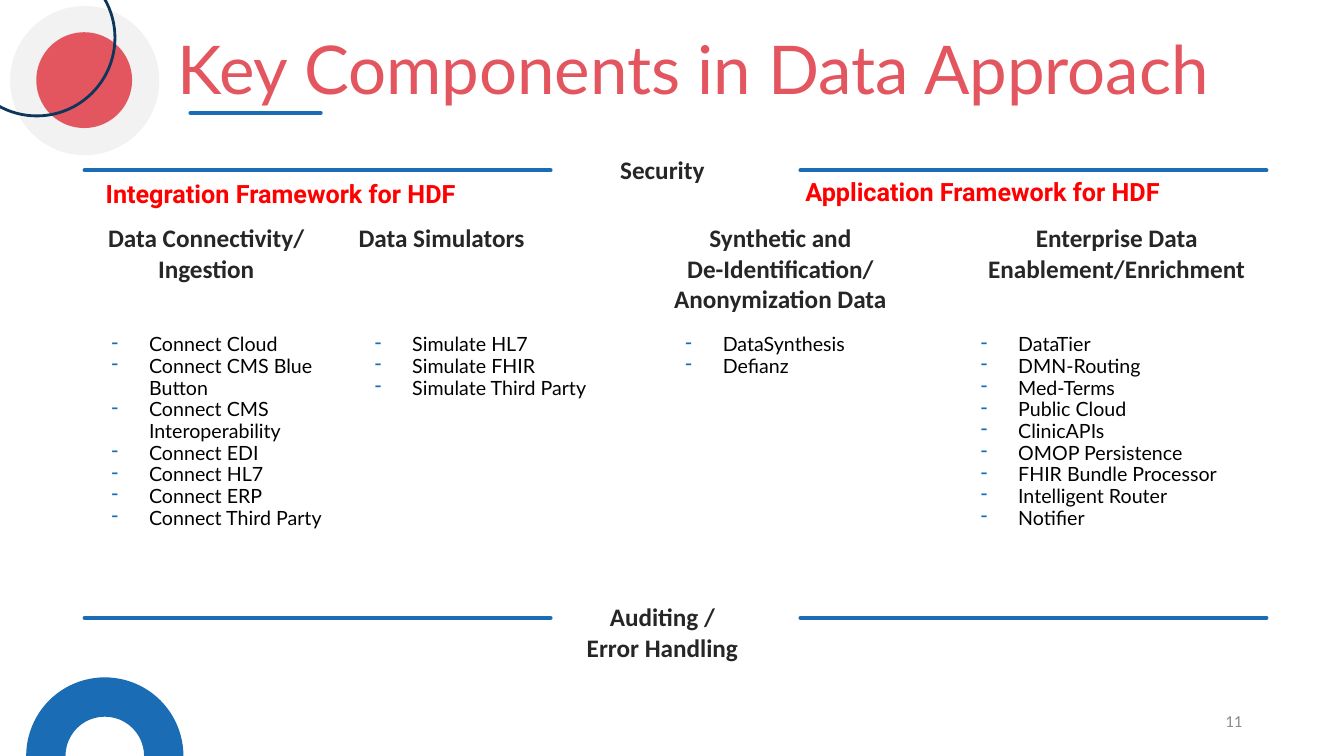
from lxml.etree import SubElement
from pptx import Presentation
from pptx.dml.color import RGBColor
from pptx.enum.shapes import MSO_CONNECTOR, MSO_SHAPE
from pptx.enum.text import MSO_ANCHOR, MSO_AUTO_SIZE, PP_ALIGN
from pptx.oxml.ns import qn
from pptx.util import Inches, Pt

BLUE, RED, NAVY, GREY = "1A6DB4", "E3565F", "0D365A", "F2F2F2"


def color(value):
    return RGBColor.from_string(value)


class SlideBuilder:
    """Draws the styled elements of one slide."""

    def __init__(self, slide):
        self.slide = slide

    def shape(self, preset, left, top, size, fill=None, line=None):
        shape = self.slide.shapes.add_shape(
            preset, Inches(left), Inches(top), Inches(size), Inches(size))
        shape.shadow.inherit = False
        if fill:
            shape.fill.solid()
            shape.fill.fore_color.rgb = color(fill)
        else:
            shape.fill.background()
        if line:
            shape.line.color.rgb = color(line)
            shape.line.width = Pt(2)
        else:
            shape.line.fill.background()

    def rule(self, left, right, y):
        connector = self.slide.shapes.add_connector(
            MSO_CONNECTOR.STRAIGHT, Inches(left), Inches(y), Inches(right), Inches(y))
        connector.line.color.rgb = color(BLUE)
        connector.line.width = Pt(3)
        connector.line._get_or_add_ln().set("cap", "rnd")
        SubElement(connector._element.spPr, qn("a:effectLst"))

    def text(self, box, text, size, font, fill, bold=False, align=PP_ALIGN.LEFT,
             wrap=True, inset=True, anchor=MSO_ANCHOR.TOP):
        text_box = self.slide.shapes.add_textbox(*map(Inches, box))
        frame = text_box.text_frame
        frame.word_wrap = wrap
        frame.auto_size = MSO_AUTO_SIZE.NONE
        frame.vertical_anchor = anchor
        if not inset:
            frame.margin_left = frame.margin_right = 0
            frame.margin_top = frame.margin_bottom = 0
        frame.text = text
        for paragraph in frame.paragraphs:
            paragraph.alignment = align
            for run in paragraph.runs:
                run.font.size = Pt(size)
                run.font.name = font
                run.font.bold = bold
                run.font.color.rgb = color(fill)
        return frame

    def heading(self, left, top, width, text):
        self.text((left, top, width, 0.32), text, 18, "Calibri", "262626",
                  bold=True, align=PP_ALIGN.CENTER, inset=False)

    def framework(self, left, top, text):
        self.text((left, top, 4.2, 0.4), text, 18, "Roboto", "FF0000", bold=True)

    def bullets(self, left, items):
        frame = self.text((left, 3.27, 2.69, 2.28), "\n".join(items), 14, "Lato", "000000")
        for paragraph in frame.paragraphs:
            paragraph.line_spacing = 0.92
            properties = paragraph._p.get_or_add_pPr()
            properties.set("marL", str(Inches(0.5)))
            properties.set("indent", str(Inches(-0.37)))
            bullet_color = SubElement(properties, qn("a:buClr"))
            SubElement(bullet_color, qn("a:srgbClr"), val=BLUE)
            SubElement(properties, qn("a:buChar"), char="-")


COLUMNS = [
    (0.79, 2.51, "Data Connectivity/ Ingestion", 0.88,
     ["Connect Cloud", "Connect CMS Blue Button", "Connect CMS Interoperability",
      "Connect EDI", "Connect HL7", "Connect ERP", "Connect Third Party"]),
    (3.25, 2.26, "Data Simulators", 3.49,
     ["Simulate HL7", "Simulate FHIR", "Simulate Third Party"]),
    (6.07, 3.34, "Synthetic and\vDe-Identification/ Anonymization Data", 6.57,
     ["DataSynthesis", "Defianz"]),
    (9.77, 2.61, "Enterprise Data Enablement/Enrichment", 9.5,
     ["DataTier", "DMN-Routing", "Med-Terms", "Public Cloud", "ClinicAPIs",
      "OMOP Persistence", "FHIR Bundle Processor", "Intelligent Router", "Notifier"]),
]


def main():
    presentation = Presentation()
    presentation.slide_width = Inches(13.33)
    presentation.slide_height = Inches(7.5)
    slide = presentation.slides.add_slide(presentation.slide_layouts[6])
    builder = SlideBuilder(slide)

    builder.text((1.66, 0.22, 10.72, 0.91), "Key Components in Data Approach",
                 48, "Lato", RED, wrap=False)
    builder.rule(1.89, 3.18, 1.12)
    builder.shape(MSO_SHAPE.BLOCK_ARC, 0.26, 6.72, 1.56, fill=BLUE)
    builder.shape(MSO_SHAPE.OVAL, 0.1, 0.06, 1.48, fill=GREY)
    builder.shape(MSO_SHAPE.OVAL, 0.36, 0.32, 0.95, fill=RED)
    builder.shape(MSO_SHAPE.OVAL, -0.41, -0.4, 1.55, line=NAVY)

    for y, label in ((1.69, "Security"), (6.13, "Auditing / Error Handling")):
        builder.rule(0.84, 5.46, y)
        builder.rule(7.94, 12.56, y)
        builder.heading(5.77, y - 0.16, 1.6, label)

    for heading_left, width, title, list_left, items in COLUMNS:
        builder.heading(heading_left, 2.21, width, title)
        builder.bullets(list_left, items)

    builder.framework(0.95, 1.72, "Integration Framework for HDF")
    builder.framework(7.89, 1.7, "Application Framework for HDF")
    builder.text((9.42, 6.95, 3, 0.4), "11", 12, "Calibri", "8C8C8C",
                 align=PP_ALIGN.RIGHT, anchor=MSO_ANCHOR.MIDDLE)
    presentation.save("out.pptx")


if __name__ == "__main__":
    main()
